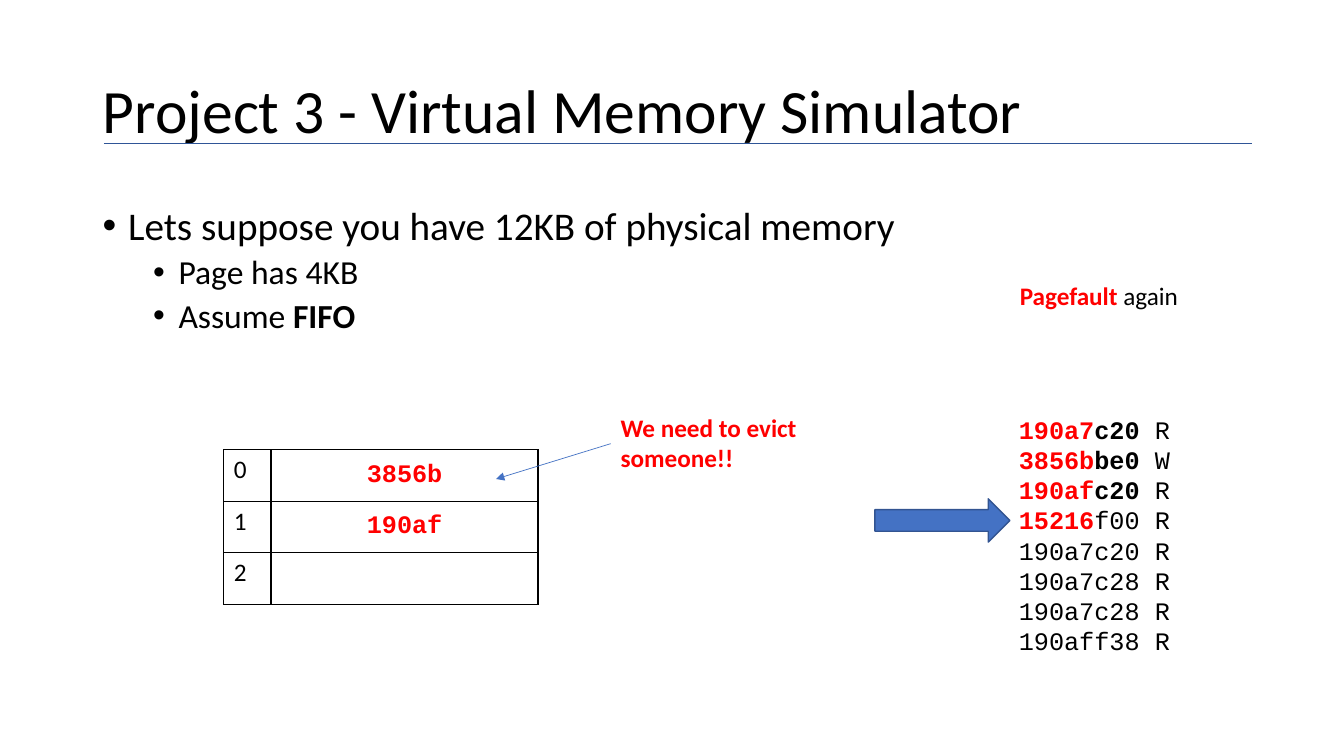
"""Build the slide on FIFO page replacement in a virtual memory simulator."""
from lxml import etree
from pptx import Presentation
from pptx.dml.color import RGBColor
from pptx.enum.shapes import MSO_CONNECTOR, MSO_SHAPE
from pptx.enum.text import MSO_ANCHOR, MSO_AUTO_SIZE, PP_ALIGN
from pptx.oxml.ns import qn
from pptx.util import Cm, Pt

LEFT, CENTER = PP_ALIGN.LEFT, PP_ALIGN.CENTER
MIDDLE = MSO_ANCHOR.MIDDLE
FIXED = MSO_AUTO_SIZE.NONE
STRAIGHT = MSO_CONNECTOR.STRAIGHT
ARROW = MSO_SHAPE.RIGHT_ARROW
SANS, MONO = "Calibri", "Courier New"
COLORS = {"black": "000000", "red": "FF0000", "blue": "4472C4",
          "edge": "325491", "rule": "2F5597"}


def tint(name):
    return RGBColor.from_string(COLORS[name])


def write(frame, lines, size=18, font=SANS, align=LEFT, space=1.0):
    """Fill a frame with lines of (text, color, bold) runs."""
    frame.word_wrap = True
    for i, line in enumerate(lines):
        para = frame.paragraphs[0] if i == 0 else frame.add_paragraph()
        para.alignment = align
        para.line_spacing = space
        for text, color, bold in line:
            run = para.add_run()
            run.text = text
            run.font.name = font
            run.font.size = Pt(size)
            run.font.bold = bold
            run.font.color.rgb = tint(color)


deck = Presentation()
deck.slide_width, deck.slide_height = Cm(33.87), Cm(19.05)
slide = deck.slides.add_slide(deck.slide_layouts[5])
shapes = slide.shapes

title = shapes.title
title.left, title.top = Cm(2.34), Cm(1.02)
title.width, title.height = Cm(29.21), Cm(3.68)
title.text_frame.vertical_anchor = MIDDLE
title.text_frame.auto_size = FIXED
write(title.text_frame, [[("Project 3 - Virtual Memory Simulator", "black", False)]],
      size=44, space=0.9)

body = shapes.add_textbox(Cm(2.34), Cm(5.08), Cm(29.21), Cm(11.71)).text_frame
write(body, [
    [("Lets suppose you have 12KB of physical memory", "black", False)],
    [("Page has 4KB", "black", False)],
    [("Assume ", "black", False), ("FIFO", "black", True)],
], size=24, space=0.9)
for run in body.paragraphs[0].runs:
    run.font.size = Pt(28)
for para, level in zip(body.paragraphs, (0, 1, 1)):
    para.level = level
    para.space_before = Pt(5 if level else 10)
    props = para._p.get_or_add_pPr()
    props.set("marL", str(Cm(0.64 + 1.27 * level)))
    props.set("indent", str(-Cm(0.64)))
    etree.SubElement(props, qn("a:buFont")).set("typeface", "Arial")
    etree.SubElement(props, qn("a:buChar")).set("char", "•")

trace = [
    [("190a7", "red", True), ("c20 ", "black", True), ("R", "black", False)],
    [("3856b", "red", True), ("be0", "black", True), (" W", "black", False)],
    [("190af", "red", True), ("c20", "black", True), (" R", "black", False)],
    [("15216", "red", True), ("f00 R", "black", False)],
]
for entry in ("190a7c20 R", "190a7c28 R", "190a7c28 R", "190aff38 R"):
    trace.append([(entry, "black", False)])
box = shapes.add_textbox(Cm(22.4), Cm(10.31), Cm(10.36), Cm(6.4))
write(box.text_frame, trace, font=MONO, align=CENTER)

pages = ["3856b", "190af", ""]
grid = shapes.add_table(len(pages), 2, Cm(5.64), Cm(11.33), Cm(7.92), Cm(3.9)).table
grid.first_row = grid.horz_banding = False
grid.columns[0].width, grid.columns[1].width = Cm(1.19), Cm(6.73)
for i, page in enumerate(pages):
    grid.rows[i].height = Cm(1.3)
    index, frame = grid.cell(i, 0), grid.cell(i, 1)
    write(index.text_frame, [[(str(i), "black", False)]])
    if page:
        write(frame.text_frame, [[(page, "red", True)]], font=MONO, align=CENTER)
        frame.vertical_anchor = MIDDLE
    for cell in (index, frame):
        cell.fill.background()
        props = cell._tc.get_or_add_tcPr()
        for k, side in enumerate(("lnL", "lnR", "lnT", "lnB")):
            edge = etree.Element(qn(f"a:{side}"), w=str(Pt(1)))
            fill = etree.SubElement(edge, qn("a:solidFill"))
            etree.SubElement(fill, qn("a:srgbClr")).set("val", COLORS["black"])
            props.insert(k, edge)

arrow = shapes.add_shape(ARROW, Cm(22.05), Cm(12.57), Cm(3.4), Cm(1.09))
arrow.shadow.inherit = False
arrow.fill.solid()
arrow.fill.fore_color.rgb = tint("blue")
arrow.line.color.rgb = tint("edge")
arrow.line.width = Pt(1)

fault = shapes.add_textbox(Cm(25.45), Cm(6.93), Cm(5.79), Cm(1.02))
write(fault.text_frame, [[("Pagefault", "red", True), (" again", "black", False)]])
evict = shapes.add_textbox(Cm(15.39), Cm(10.26), Cm(5.79), Cm(1.8))
write(evict.text_frame, [[("We need to evict someone!!", "red", True)]])

for ends, color, head in (
    ((2.62, 3.61, 31.55, 3.61), "rule", False),
    ((15.39, 11.18, 12.5, 12.07), "blue", True),
):
    line = shapes.add_connector(STRAIGHT, *[Cm(v) for v in ends])
    line.line.color.rgb = tint(color)
    line.line.width = Pt(0.5)
    if head:
        etree.SubElement(line.line._get_or_add_ln(), qn("a:tailEnd")).set("type", "triangle")
    etree.SubElement(line._element.spPr, qn("a:effectLst"))

deck.save("out.pptx")
